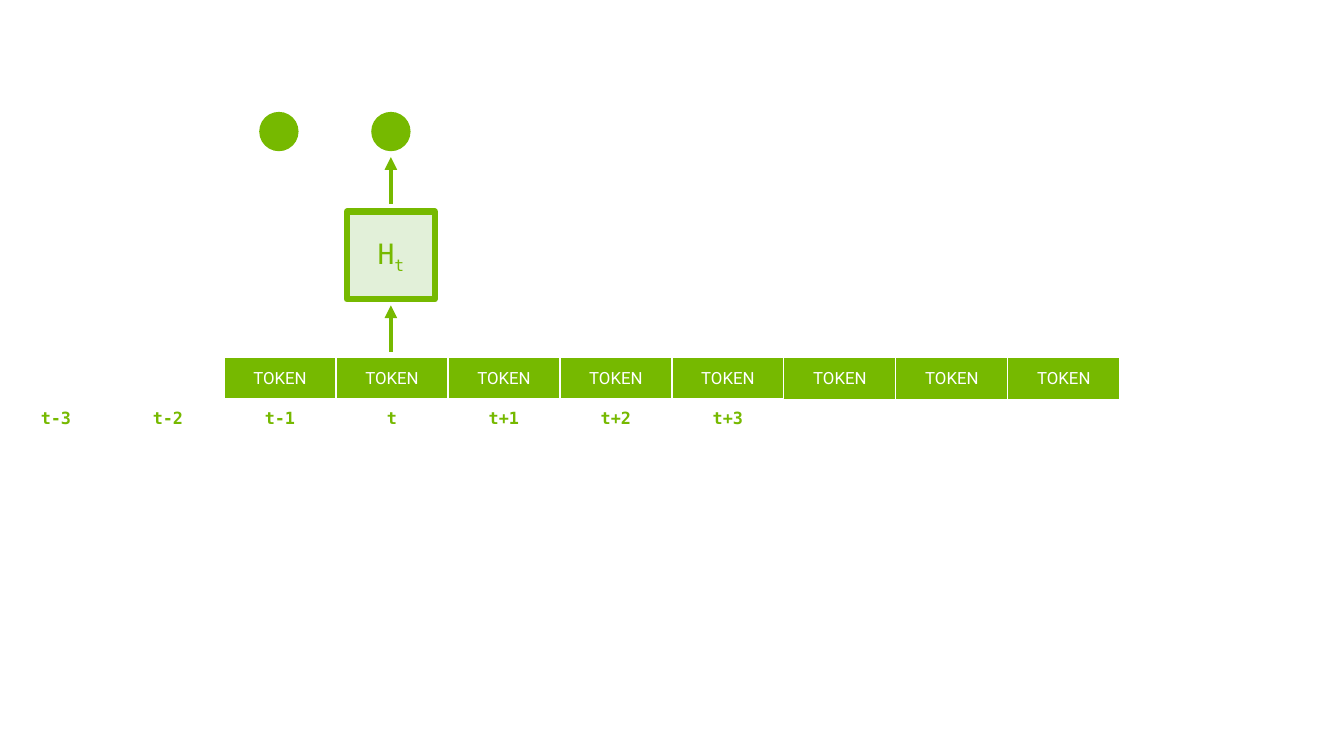
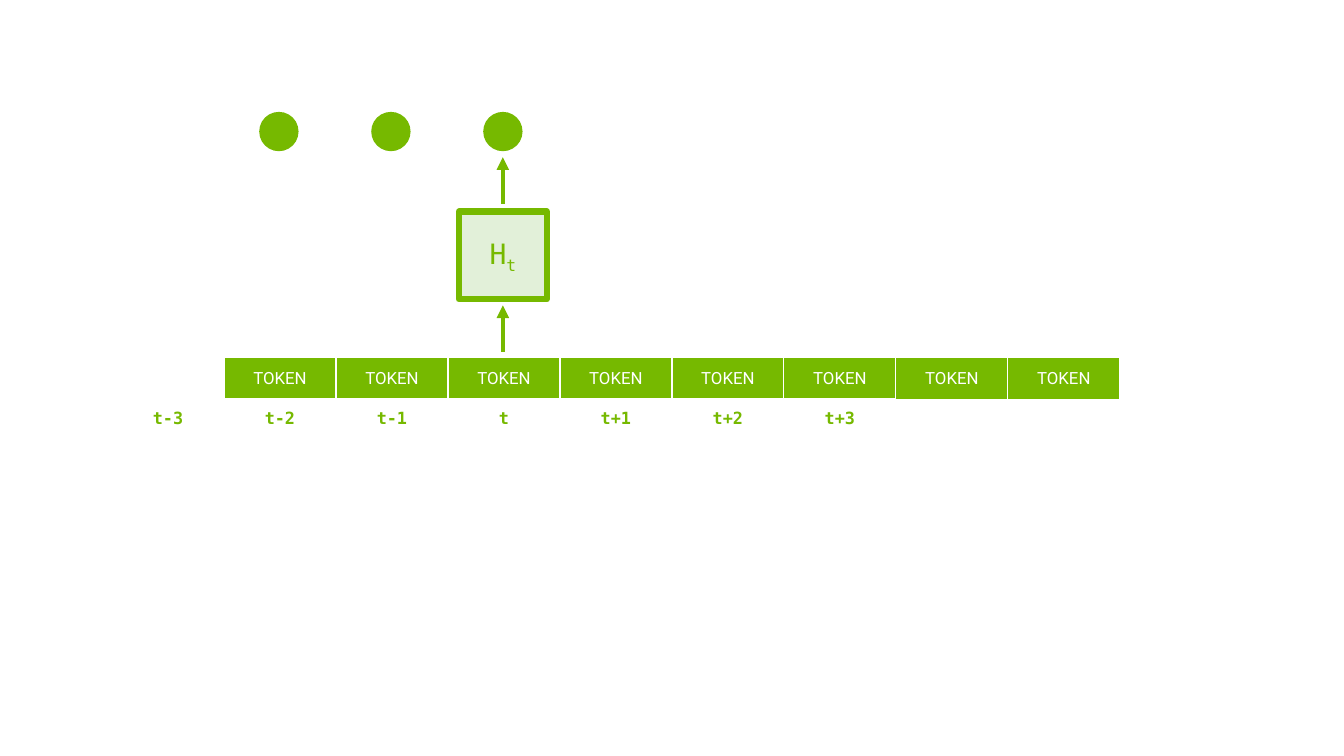
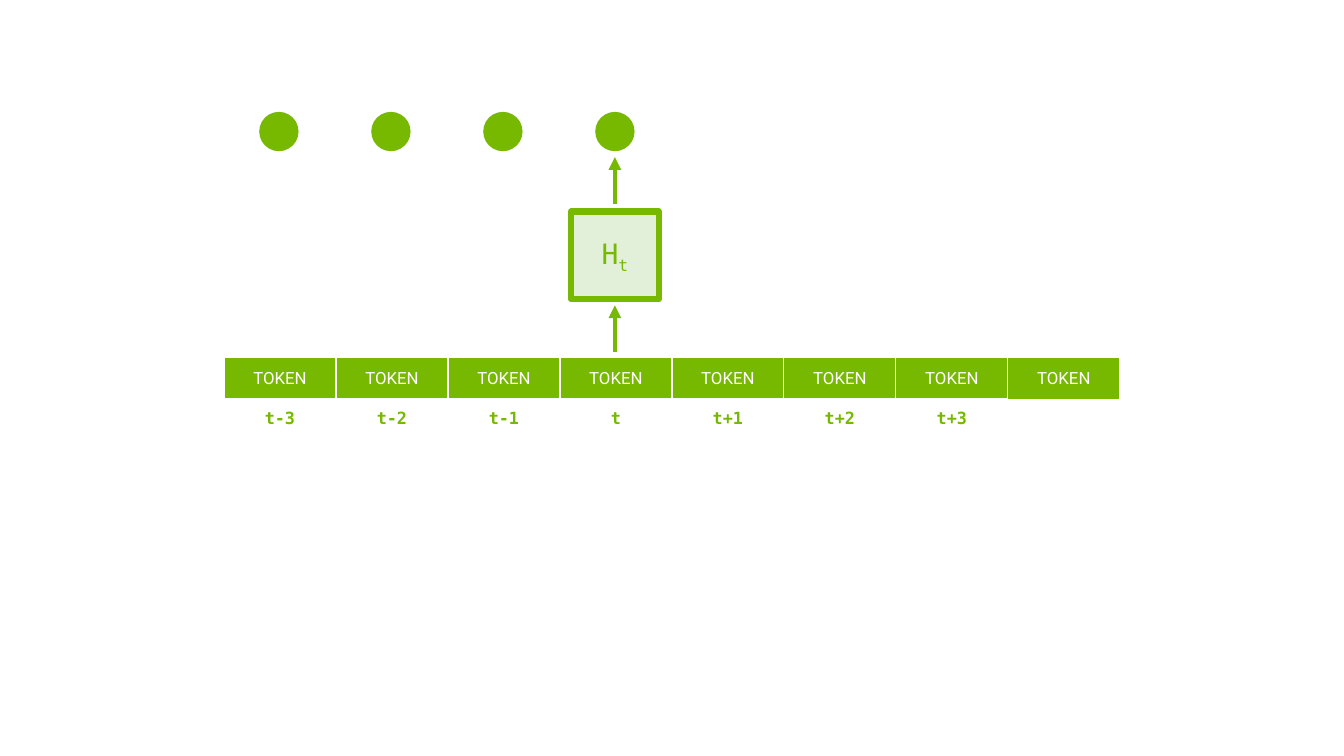
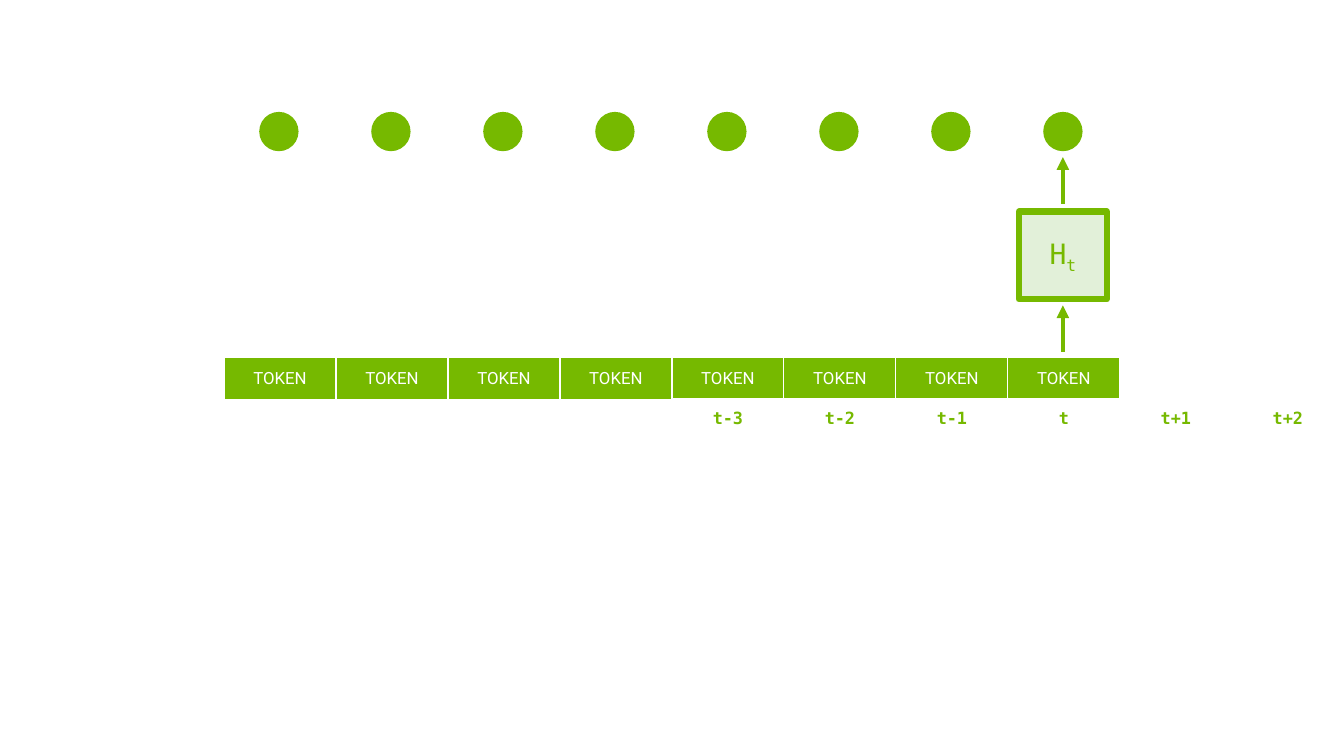
from dataclasses import dataclass

from lxml.etree import SubElement as Sub
from pptx import Presentation
from pptx.dml.color import RGBColor as Color
from pptx.enum.shapes import MSO_CONNECTOR as Link, MSO_SHAPE as Kind
from pptx.enum.text import MSO_ANCHOR as Anchor, PP_ALIGN as Align
from pptx.oxml.ns import qn
from pptx.util import Inches, Pt

# Grid: the slide is 12 columns wide and 75 rows high
WIDE, HIGH = Inches(13.33), Inches(7.5)
COLS, ROWS = 12, 75

# Token strip and the steps named around the current one
FIRST, COUNT = 2, 8
STEPS = ["t-3", "t-2", "t-1", "t", "t+1", "t+2", "t+3"]
NOW = STEPS.index("t")


@dataclass(frozen=True)
class Theme:
    green: Color = Color(0x76, 0xB9, 0x00)
    pale: Color = Color(0xE2, 0xF0, 0xD9)
    white: Color = Color(0xFF, 0xFF, 0xFF)
    sans: str = "Roboto"
    mono: str = "DejaVu Sans Mono"
    small: int = 12
    large: int = 20
    thin: float = 1
    line: float = 3
    frame: float = 4.5


def col(num):
    return round(WIDE * num / COLS)


def row(num):
    return round(HIGH * num / ROWS)


class Deck:
    def __init__(self, theme):
        self.theme = theme
        self.file = Presentation()
        self.file.slide_width, self.file.slide_height = WIDE, HIGH
        self.slide = None

    def page(self):
        self.slide = self.file.slides.add_slide(self.file.slide_layouts[6])

    def style(self, para, face, size, tint, bold=False):
        para.alignment = Align.CENTER
        for run in para.runs:
            font = run.font
            font.name, font.size, font.bold = face, Pt(size), bold
            font.color.rgb = tint

    def edge(self, cell):
        props = cell._tc.get_or_add_tcPr()
        for side in ("a:lnL", "a:lnR", "a:lnT", "a:lnB"):
            line = Sub(props, qn(side), w=str(Pt(self.theme.thin)))
            fill = Sub(line, qn("a:solidFill"))
            Sub(fill, qn("a:srgbClr"), val=str(self.theme.white))

    def strip(self, words, left, top, face, tint, fill=None, bold=False):
        """One-row table, one grid column for each word."""
        size = len(words)
        table = self.slide.shapes.add_table(
            1, size, col(left), row(top), col(size), row(4.1)).table
        table.first_row = table.horz_banding = False
        for cell, word in zip(table.iter_cells(), words):
            cell.text_frame.text = word
            cell.vertical_anchor = Anchor.MIDDLE
            self.style(cell.text_frame.paragraphs[0], face,
                       self.theme.small, tint, bold)
            if fill is None:
                cell.fill.background()
            else:
                self.edge(cell)
                cell.fill.solid()
                cell.fill.fore_color.rgb = fill

    def shape(self, kind, mid, top, size, fill):
        """Shape of equal sides, centred on a grid position."""
        side = row(size)
        item = self.slide.shapes.add_shape(
            kind, col(mid) - side // 2, row(top), side, side)
        item.shadow.inherit = False
        item.fill.solid()
        item.fill.fore_color.rgb = fill
        item.line.fill.background()
        return item

    def dot(self, mid):
        self.shape(Kind.OVAL, mid, 11.1, 3.9, self.theme.green)

    def state(self, mid):
        theme = self.theme
        box = self.shape(Kind.RECTANGLE, mid, 21, 8.7, theme.pale)
        box.line.color.rgb = theme.green
        box.line.width = Pt(theme.frame)
        frame = box.text_frame
        frame.text = "H"
        frame.vertical_anchor = Anchor.MIDDLE
        para = frame.paragraphs[0]
        low = para.add_run()
        low.text = "t"
        self.style(para, theme.mono, theme.large, theme.green)
        low.font._element.set("baseline", "-25000")

    def arrow(self, mid, start, end):
        item = self.slide.shapes.add_connector(
            Link.STRAIGHT, col(mid), row(start), col(mid), row(end))
        item.line.color.rgb = self.theme.green
        item.line.width = Pt(self.theme.line)
        Sub(item.line._get_or_add_ln(), qn("a:tailEnd"), type="triangle")
        Sub(item._element.spPr, qn("a:effectLst"))


def draw(deck, step):
    """Slide on which the token with this index is being read."""
    theme = deck.theme
    deck.page()

    # Tokens
    deck.strip(["TOKEN"] * COUNT, FIRST, 35.5, theme.sans,
               theme.white, theme.green)

    # Hidden state with arrows in and out
    mids = [FIRST + num + 0.49 for num in range(step + 1)]
    deck.state(mids[-1])
    for start, end in ((34.9, 30.3), (20.2, 15.6)):
        deck.arrow(mids[-1], start, end)

    # Outputs so far
    for mid in mids:
        deck.dot(mid)

    # Step names, as many as fit on the slide
    left = FIRST + step - NOW
    deck.strip(STEPS[:COLS - left], left, 39.5, theme.mono,
               theme.green, bold=True)


def main():
    deck = Deck(Theme())
    for step in (1, 2, 3, 7):
        draw(deck, step)
    deck.file.save("out.pptx")


if __name__ == "__main__":
    main()
